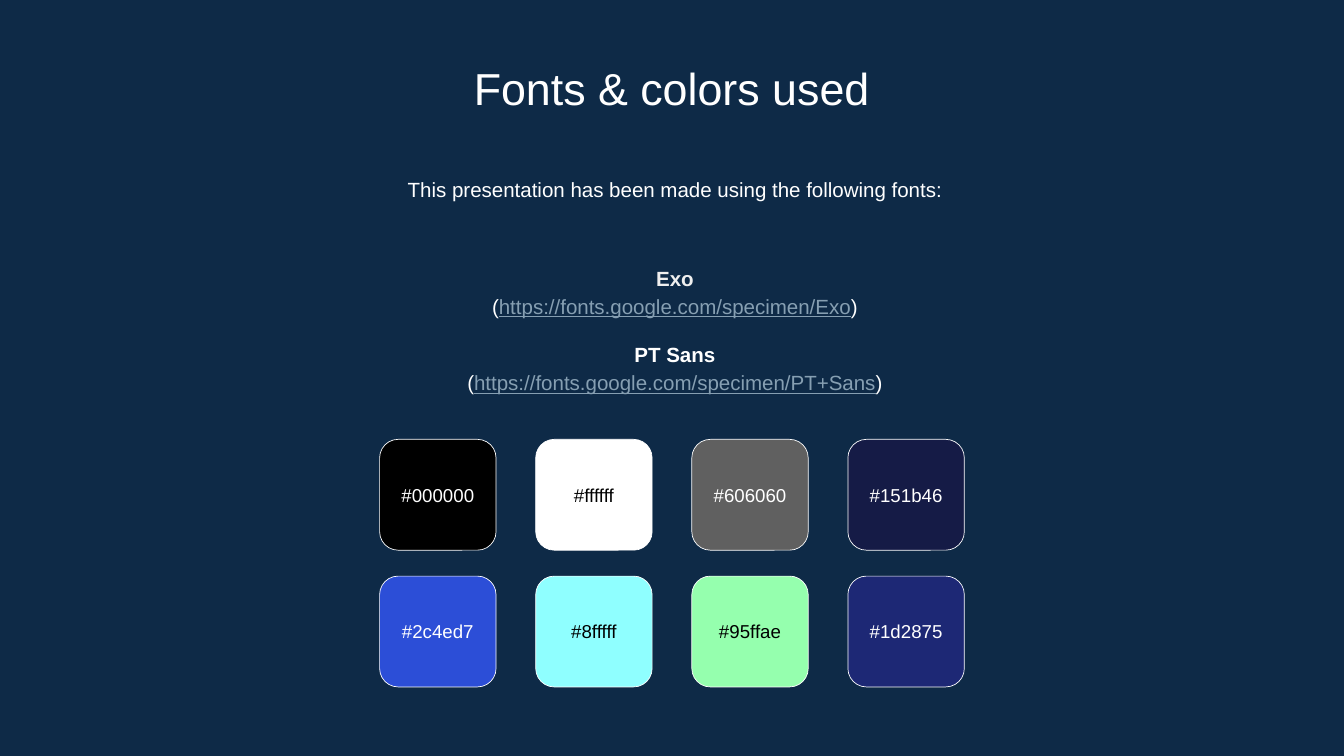
from pptx import Presentation
from pptx.dml.color import RGBColor
from pptx.enum import shapes, text
from pptx.util import Cm, Pt

FONT = "Arial"
COLORS = {
    "background": "0E2A47",
    "white": "FFFFFF",
    "black": "000000",
    "pale": "EFEFEF",
    "link": "869FB2",
}

# Content
TITLE = "Fonts & colors used"
INTRO = "This presentation has been made using the following fonts:"
FONTS_USED = [
    ("Exo", "https://fonts.google.com/specimen/Exo", "pale"),
    ("PT Sans", "https://fonts.google.com/specimen/PT+Sans", "white"),
]
SWATCHES = [  # rows of (fill, label colour)
    [("#000000", "white"), ("#ffffff", "black"),
     ("#606060", "white"), ("#151b46", "white")],
    [("#2c4ed7", "white"), ("#8fffff", "black"),
     ("#95ffae", "black"), ("#1d2875", "white")],
]

# Layout, in centimetres
SLIDE_WIDTH, SLIDE_HEIGHT = 50.8, 28.58
TEXT_WIDTH = 39.14
INSET = 0.51
SWATCH_WIDTH, SWATCH_HEIGHT = 4.4, 4.19
COLUMN_STEP, ROW_STEP = 5.9, 5.17
GRID_TOP = 16.61


def rgb(value):
    return RGBColor.from_string(value.lstrip("#").upper())


def add_run(paragraph, content, size=22, color="white", bold=False, underline=False):
    run = paragraph.add_run()
    run.text = content
    run.font.name = FONT
    run.font.size = Pt(size)
    run.font.bold = bold
    run.font.underline = underline
    run.font.color.rgb = rgb(COLORS[color])


def prepare_frame(shape, anchor):
    frame = shape.text_frame
    frame.word_wrap = True
    frame.vertical_anchor = anchor
    frame.margin_left = frame.margin_right = Cm(INSET)
    frame.margin_top = frame.margin_bottom = Cm(INSET)
    frame.paragraphs[0].alignment = text.PP_ALIGN.CENTER
    return frame


def add_text_frame(slide, left, top, height, anchor=text.MSO_ANCHOR.TOP):
    box = slide.shapes.add_textbox(Cm(left), Cm(top), Cm(TEXT_WIDTH), Cm(height))
    return prepare_frame(box, anchor)


def add_swatch(slide, left, top, fill, label_color):
    swatch = slide.shapes.add_shape(
        shapes.MSO_SHAPE.ROUNDED_RECTANGLE,
        Cm(left), Cm(top), Cm(SWATCH_WIDTH), Cm(SWATCH_HEIGHT))
    swatch.shadow.inherit = False
    swatch.adjustments[0] = 1 / 6
    swatch.fill.solid()
    swatch.fill.fore_color.rgb = rgb(fill)
    swatch.line.color.rgb = rgb(COLORS["white"])
    swatch.line.width = Pt(0.75)
    frame = prepare_frame(swatch, text.MSO_ANCHOR.MIDDLE)
    add_run(frame.paragraphs[0], fill, size=20, color=label_color)


def main():
    presentation = Presentation()
    presentation.slide_width = Cm(SLIDE_WIDTH)
    presentation.slide_height = Cm(SLIDE_HEIGHT)
    slide = presentation.slides.add_slide(presentation.slide_layouts[6])
    slide.background.fill.solid()
    slide.background.fill.fore_color.rgb = rgb(COLORS["background"])

    # Title and introduction
    title = add_text_frame(slide, 5.82, 1.8, 2.69)
    add_run(title.paragraphs[0], TITLE, size=48)
    intro = add_text_frame(slide, 5.94, 6.05, 2.44)
    intro.paragraphs[0].line_spacing = 1.15
    add_run(intro.paragraphs[0], INTRO)

    # Font names with their addresses
    font_list = add_text_frame(slide, 5.94, 8.94, 6.96, text.MSO_ANCHOR.MIDDLE)
    for index, (name, address, color) in enumerate(FONTS_USED):
        heading = font_list.add_paragraph() if index else font_list.paragraphs[0]
        if index:
            heading.space_before = Pt(21)
        add_run(heading, name, color=color, bold=True)
        reference = font_list.add_paragraph()
        add_run(reference, "(")
        add_run(reference, address, color="link", underline=True)
        add_run(reference, ")")
    for paragraph in font_list.paragraphs:
        paragraph.alignment = text.PP_ALIGN.CENTER
        paragraph.line_spacing = 1.15

    # Colour swatches, centred across the slide
    grid_width = (len(SWATCHES[0]) - 1) * COLUMN_STEP + SWATCH_WIDTH
    grid_left = (SLIDE_WIDTH - grid_width) / 2
    for row, swatches in enumerate(SWATCHES):
        for column, (fill, label_color) in enumerate(swatches):
            add_swatch(slide, grid_left + column * COLUMN_STEP,
                       GRID_TOP + row * ROW_STEP, fill, label_color)

    presentation.save("out.pptx")


if __name__ == "__main__":
    main()
